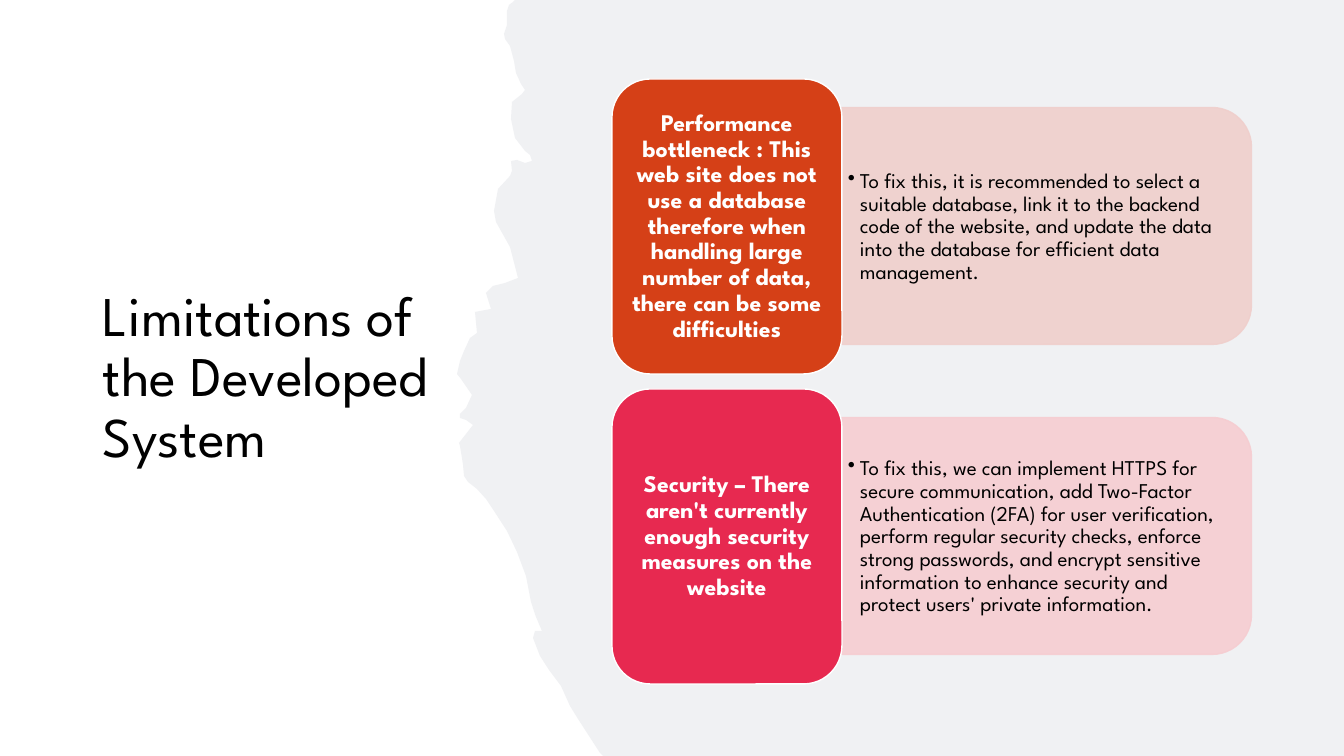
import pptx
import pptx.util
import pptx.dml.color
import pptx.enum.shapes
import pptx.enum.text
import pptx.oxml.ns
import lxml.etree

PX = 12192000 / 1344
FONT = "League Spartan"
COLORS = {"white": "FFFFFF", "black": "000000", "gray": "F0F1F3",
          "orange": "D54017", "orange_tint": "EFCFCC",
          "red": "E72950", "red_tint": "F6CDD1"}
SHAPES = pptx.enum.shapes.MSO_SHAPE
ALIGN = pptx.enum.text.PP_ALIGN
qn = pptx.oxml.ns.qn


def paint(fill, name, alpha=100):
    fill.solid()
    fill.fore_color.rgb = pptx.dml.color.RGBColor.from_string(COLORS[name])
    if alpha < 100:
        for clr in fill._xPr.iter(qn("a:srgbClr")):
            lxml.etree.SubElement(clr, qn("a:alpha"), val=str(alpha * 1000))


def write(sp, text, size, color, align, margins, bold=False):
    tf = sp.text_frame
    tf.word_wrap = True
    tf.auto_size = pptx.enum.text.MSO_AUTO_SIZE.NONE
    tf.vertical_anchor = pptx.enum.text.MSO_ANCHOR.MIDDLE
    tf.margin_left = tf.margin_right = int(margins[0] * PX)
    tf.margin_top = tf.margin_bottom = int(margins[1] * PX)
    p = tf.paragraphs[0]
    p.alignment = align
    p.line_spacing = 0.9
    r = p.add_run()
    r.text = text
    r.font.name = FONT
    r.font.size = pptx.util.Pt(size)
    r.font.bold = bold
    r.font.color.rgb = pptx.dml.color.RGBColor.from_string(COLORS[color])
    return p


prs = pptx.Presentation()
prs.slide_width = int(1344 * PX)
prs.slide_height = int(756 * PX)
s = prs.slides.add_slide(prs.slide_layouts[5])
paint(s.background.fill, "white")

torn_edge = [
    (603, 756), (600, 753), (578, 719), (570, 706), (561, 686), (549, 670),
    (540, 656), (533, 638), (535, 631), (542, 631), (536, 617), (531, 602),
    (526, 576), (517, 552), (507, 531), (494, 511), (486, 499), (477, 489),
    (468, 482), (464, 476), (463, 465), (462, 458), (460, 446), (459, 443),
    (473, 425), (466, 420), (460, 418), (460, 414), (466, 408), (472, 395),
    (461, 379), (457, 374), (460, 361), (464, 351), (470, 338), (477, 333),
    (475, 312), (491, 309), (486, 293), (493, 286), (505, 283), (518, 278),
    (510, 247), (496, 222), (494, 211), (498, 189), (510, 176), (512, 171),
    (511, 161), (517, 160), (525, 163), (532, 161), (530, 155), (525, 151),
    (515, 138), (511, 119), (512, 102), (522, 94), (525, 90), (521, 84),
    (516, 73), (514, 61), (510, 46), (505, 39), (504, 34), (507, 25),
    (507, 11), (509, 5), (513, 2), (515, 0)]
builder = s.shapes.build_freeform(1344, 0, scale=PX)
builder.add_line_segments([(1344, 756)] + torn_edge)
panel = builder.convert_to_shape()
panel.shadow.inherit = False
paint(panel.fill, "gray")
panel.line.fill.background()

title = s.shapes.title
title.left, title.top, title.width, title.height = [
    int(v * PX) for v in (93, 79, 353, 599)]
write(title, "Limitations of the Developed System", 40, "black", ALIGN.LEFT, (10, 5))

limitations = [
    ("orange",
     "Performance bottleneck : This web site does not use a database therefore "
     "when handling large number of data, there can be some difficulties",
     "To fix this, it is recommended to select a suitable database, link it to the "
     "backend code of the website, and update the data into the database for "
     "efficient data management."),
    ("red",
     "Security – There aren't currently enough security measures on the website",
     "To fix this, we can implement HTTPS for secure communication, add Two-Factor "
     "Authentication (2FA) for user verification, perform regular security checks, "
     "enforce strong passwords, and encrypt sensitive information to enhance "
     "security and protect users' private information."),
]
ROW_PITCH = 310
for i, (color, problem, fix) in enumerate(limitations):
    top = 79 + i * ROW_PITCH

    band = s.shapes.add_shape(SHAPES.ROUND_2_SAME_RECTANGLE, *[
        int(v * PX) for v in (928, top - 58, 237, 410)])
    band.rotation = 90
    band.shadow.inherit = False
    paint(band.fill, color + "_tint", 90)
    paint(band.line.fill, color + "_tint", 90)
    band.line.width = pptx.util.Pt(1)

    box = s.shapes.add_textbox(*[int(v * PX) for v in (842, top + 41, 398, 214)])
    p = write(box, fix, 15, "black", ALIGN.LEFT, (6, 3))
    pPr = p._p.get_or_add_pPr()
    pPr.set("marL", str(int(12 * PX)))
    pPr.set("indent", str(int(-12 * PX)))
    lxml.etree.SubElement(pPr, qn("a:buChar"), char="•")

    card = s.shapes.add_shape(SHAPES.ROUNDED_RECTANGLE, *[
        int(v * PX) for v in (612, top, 230, 295)])
    card.shadow.inherit = False
    paint(card.fill, color)
    paint(card.line.fill, "white")
    card.line.width = pptx.util.Pt(1)
    write(card, problem, 17, "white", ALIGN.CENTER, (7, 4), bold=True)

prs.save("out.pptx")
